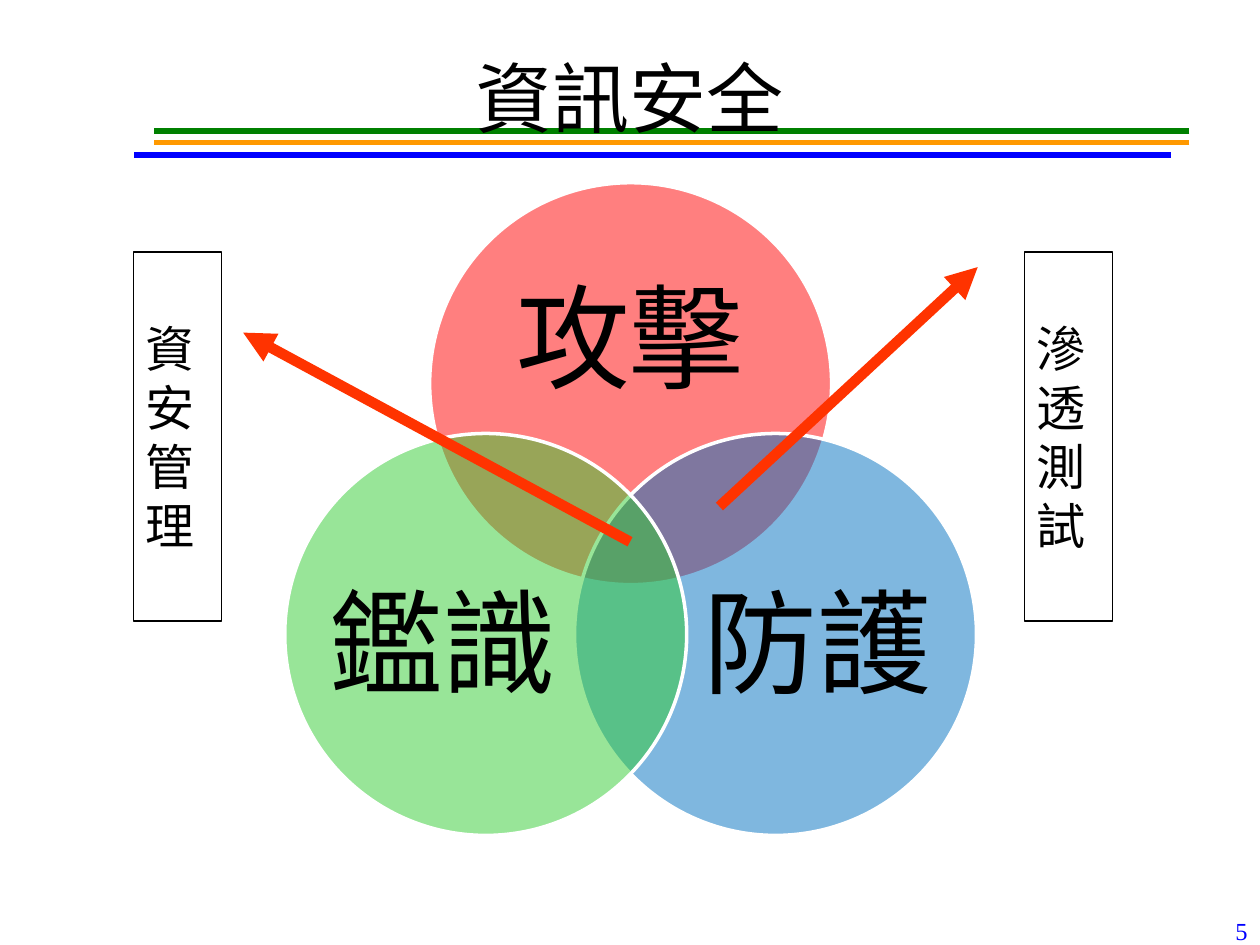
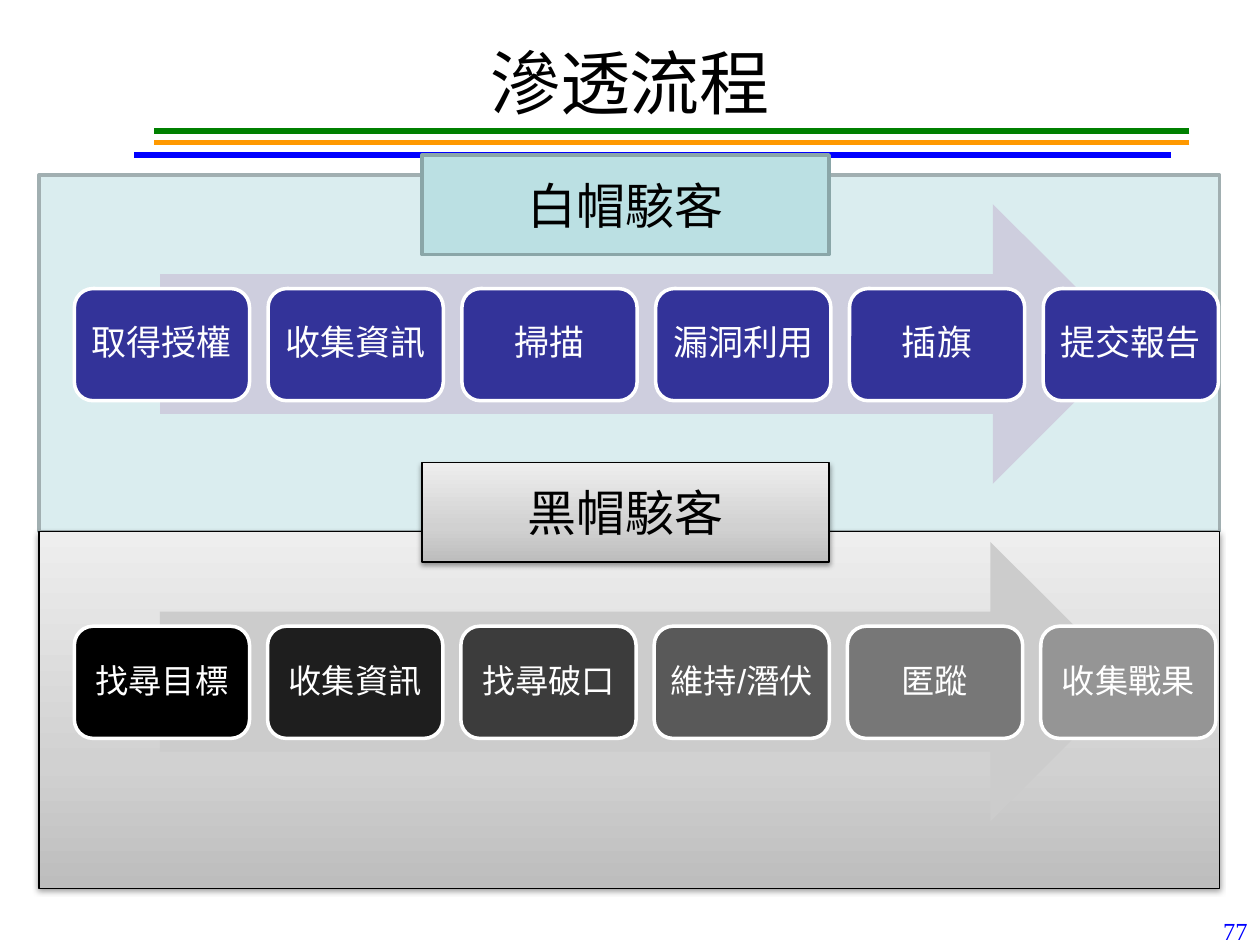
"""Build two slides on information security and penetration workflows."""
from dataclasses import dataclass

import lxml.etree
import pptx
import pptx.dml.color
import pptx.enum.shapes
import pptx.enum.text
import pptx.oxml.ns
import pptx.util

Inches = pptx.util.Inches
Pt = pptx.util.Pt
SHAPES = pptx.enum.shapes.MSO_SHAPE
ALIGN = pptx.enum.text.PP_ALIGN
ANCHOR = pptx.enum.text.MSO_ANCHOR
qn = pptx.oxml.ns.qn

COLORS = {
    "black": "000000", "white": "FFFFFF", "page": "0000FF",
    "green": "008000", "orange": "FF9900", "blue": "0000FF",
    "attack": "FF0000", "defence": "0070C0", "forensics": "33CC33",
    "arrow": "FF3300",
    "white_panel": "DAEDEF", "white_panel_line": "A1AFB1",
    "white_heading": "BBE0E3", "white_heading_line": "8AA6A8",
    "white_arrow": "CECEDE", "white_step": "333399", "black_arrow": "CCCCCC",
}
SILVER_STOPS = ((0, "BDBDBD"), (35, "D1D1D1"), (100, "EEEEEE"))


@dataclass(frozen=True)
class Box:
    left: float
    top: float
    width: float
    height: float

    def lengths(self) -> list:
        return [Inches(value) for value in (self.left, self.top, self.width, self.height)]


@dataclass(frozen=True)
class TextStyle:
    size: float
    color: str = COLORS["black"]
    font: str = "Arial"
    align: int = ALIGN.CENTER
    anchor: int = ANCHOR.MIDDLE
    spacing: float = 1.0
    inset_x: float = 0.1
    inset_y: float = 0.05


@dataclass(frozen=True)
class Segment:
    start: tuple
    end: tuple
    color: str
    width: float
    arrow: bool = False


@dataclass(frozen=True)
class Circle:
    label: str
    color: str
    left: float
    top: float
    text_box: Box


@dataclass(frozen=True)
class Process:
    heading: str
    heading_top: float
    arrow_top: float
    arrow_width: float
    arrow_color: str
    pitch: float
    size: float
    steps: tuple
    step_colors: tuple


RULES = (
    Segment((9.44, 1.13), (1.22, 1.13), COLORS["orange"], 3),
    Segment((9.29, 1.23), (1.06, 1.23), COLORS["blue"], 3),
    Segment((9.44, 1.04), (1.22, 1.04), COLORS["green"], 3),
)
CIRCLE_SIZE = 3.19
CIRCLES = (
    Circle("攻擊", COLORS["attack"], 3.41, 1.45, Box(3.83, 2.01, 2.34, 1.43)),
    Circle("防護", COLORS["defence"], 4.56, 3.44, Box(5.53, 4.27, 1.91, 1.75)),
    Circle("鑑識", COLORS["forensics"], 2.26, 3.44, Box(2.56, 4.27, 1.91, 1.75)),
)
POINTERS = (
    Segment((5, 4.3), (1.93, 2.64), COLORS["arrow"], 6, True),
    Segment((5.71, 4.02), (7.76, 2.12), COLORS["arrow"], 6, True),
)
SIDE_LABELS = ((1.06, "資\n安\n管\n理"), (8.13, "滲透測試"))
WHITE_HAT = Process(
    "白帽駭客", 1.23, 1.62, 7.72, COLORS["white_arrow"], 1.538, 20,
    ("取得授權", "收集資訊", "掃描", "漏洞利用", "插旗", "提交報告"),
    (COLORS["white_step"],) * 6,
)
BLACK_HAT = Process(
    "黑帽駭客", 3.67, 4.3, 7.7, COLORS["black_arrow"], 1.534, 19,
    ("找尋目標", "收集資訊", "找尋破口", "維持/潛伏", "匿蹤", "收集戰果"),
    tuple(f"{round(29.8 * index):02X}" * 3 for index in range(6)),
)

CIRCLE_TEXT = TextStyle(65, spacing=0.9, inset_x=0, inset_y=0)
SIDE_TEXT = TextStyle(28, font="Noto Sans CJK SC", align=ALIGN.LEFT)
HEADING_TEXT = TextStyle(28)
PAGE_TEXT = TextStyle(14, COLORS["page"], "Times New Roman", ALIGN.RIGHT, ANCHOR.TOP)


def apply_values(target, values: dict) -> None:
    for name, value in values.items():
        setattr(target, name, value)


def rgb(color: str):
    return pptx.dml.color.RGBColor.from_string(color)


def write_text(shape, text: str, style: TextStyle) -> None:
    frame = shape.text_frame
    frame.text = text
    apply_values(frame, {
        "word_wrap": True, "vertical_anchor": style.anchor,
        "margin_left": Inches(style.inset_x), "margin_right": Inches(style.inset_x),
        "margin_top": Inches(style.inset_y), "margin_bottom": Inches(style.inset_y),
    })
    for paragraph in frame.paragraphs:
        apply_values(paragraph, {"alignment": style.align, "line_spacing": style.spacing})
        for run in paragraph.runs:
            apply_values(run.font, {"name": style.font, "size": Pt(style.size)})
            run.font.color.rgb = rgb(style.color)


def add_text(slide, box: Box, text: str, style: TextStyle) -> None:
    write_text(slide.shapes.add_textbox(*box.lengths()), text, style)


def add_block(slide, kind, box: Box, fill: str | None, line: str | None = None,
              line_width: float = 2):
    shape = slide.shapes.add_shape(kind, *box.lengths())
    shape.shadow.inherit = False
    if fill:
        shape.fill.solid()
        shape.fill.fore_color.rgb = rgb(fill)
    else:
        shape.fill.background()
    if line:
        shape.line.color.rgb = rgb(line)
        shape.line.width = Pt(line_width)
    else:
        shape.line.fill.background()
    return shape


def add_color(parent, color: str, alpha: int | None = None) -> None:
    element = lxml.etree.SubElement(parent, qn("a:srgbClr"), val=color)
    if alpha is not None:
        lxml.etree.SubElement(element, qn("a:alpha"), val=str(alpha * 1000))


def add_silver_block(slide, box: Box):
    shape = add_block(slide, SHAPES.RECTANGLE, box, None, COLORS["black"], 0.75)
    shape.fill.gradient()
    shape.fill.gradient_angle = 90
    properties = shape.element.spPr
    stops = properties.find(".//" + qn("a:gsLst"))
    for stop in list(stops):
        stops.remove(stop)
    for position, color in SILVER_STOPS:
        add_color(lxml.etree.SubElement(stops, qn("a:gs"), pos=str(position * 1000)), color)
    shadow = lxml.etree.SubElement(
        properties.find(qn("a:effectLst")), qn("a:outerShdw"), blurRad=str(Pt(3.1)),
        dist=str(Pt(1.6)), dir="5400000", rotWithShape="0")
    add_color(shadow, COLORS["black"], 38)
    return shape


def add_segment(slide, segment: Segment) -> None:
    ends = [Inches(value) for value in segment.start + segment.end]
    connector = slide.shapes.add_connector(pptx.enum.shapes.MSO_CONNECTOR.STRAIGHT, *ends)
    connector.line.color.rgb = rgb(segment.color)
    connector.line.width = Pt(segment.width)
    properties = connector.element.spPr
    if segment.arrow:
        lxml.etree.SubElement(properties.find(qn("a:ln")), qn("a:tailEnd"), type="triangle")
    lxml.etree.SubElement(properties, qn("a:effectLst"))


def add_base_slide(presentation, title: str, title_box: Box, title_size: float, number: str):
    slide = presentation.slides.add_slide(presentation.slide_layouts[6])
    for rule in RULES:
        add_segment(slide, rule)
    add_text(slide, title_box, title, TextStyle(title_size))
    add_text(slide, Box(7.67, 7.22, 2.33, 0.24), number, PAGE_TEXT)
    return slide


def add_circle(slide, circle: Circle) -> None:
    box = Box(circle.left, circle.top, CIRCLE_SIZE, CIRCLE_SIZE)
    shape = add_block(slide, SHAPES.OVAL, box, circle.color, COLORS["white"])
    color = shape.element.spPr.find(qn("a:solidFill")).find(qn("a:srgbClr"))
    lxml.etree.SubElement(color, qn("a:alpha"), val="50000")
    add_text(slide, circle.text_box, circle.label, CIRCLE_TEXT)


def add_process(slide, process: Process) -> None:
    arrow_box = Box(1.27, process.arrow_top, process.arrow_width, 2.22)
    add_block(slide, SHAPES.RIGHT_ARROW, arrow_box, process.arrow_color)
    style = TextStyle(process.size, COLORS["white"], spacing=0.9, inset_x=0.08, inset_y=0.08)
    for index, (step, color) in enumerate(zip(process.steps, process.step_colors)):
        box = Box(0.59 + index * process.pitch, process.arrow_top + 0.67, 1.39, 0.89)
        shape = add_block(slide, SHAPES.ROUNDED_RECTANGLE, box, color, COLORS["white"])
        write_text(shape, step, style)


def heading_box(process: Process) -> Box:
    return Box(3.35, process.heading_top, 3.23, 0.79)


def build_security_slide(presentation) -> None:
    slide = add_base_slide(presentation, "資訊安全", Box(0.5, 0.14, 9, 1.25), 44, "5")
    for circle in CIRCLES:
        add_circle(slide, circle)
    for pointer in POINTERS:
        add_segment(slide, pointer)
    for left, text in SIDE_LABELS:
        label = add_block(slide, SHAPES.RECTANGLE, Box(left, 2, 0.7, 2.93), None,
                          COLORS["black"], 0.75)
        write_text(label, text, SIDE_TEXT)


def build_process_slide(presentation) -> None:
    slide = add_base_slide(presentation, "滲透流程", Box(0.5, 0.3, 9, 0.69), 40, "77")
    add_block(slide, SHAPES.RECTANGLE, Box(0.31, 1.39, 9.37, 2.83),
              COLORS["white_panel"], COLORS["white_panel_line"])
    add_silver_block(slide, Box(0.31, 4.22, 9.37, 2.83))
    for process in (WHITE_HAT, BLACK_HAT):
        add_process(slide, process)
    white_heading = add_block(slide, SHAPES.RECTANGLE, heading_box(WHITE_HAT),
                              COLORS["white_heading"], COLORS["white_heading_line"])
    write_text(white_heading, WHITE_HAT.heading, HEADING_TEXT)
    black_heading = add_silver_block(slide, heading_box(BLACK_HAT))
    write_text(black_heading, BLACK_HAT.heading, HEADING_TEXT)


def main() -> None:
    presentation = pptx.Presentation()
    apply_values(presentation, {"slide_width": Inches(10), "slide_height": Inches(7.5)})
    build_security_slide(presentation)
    build_process_slide(presentation)
    presentation.save("out.pptx")


if __name__ == "__main__":
    main()
